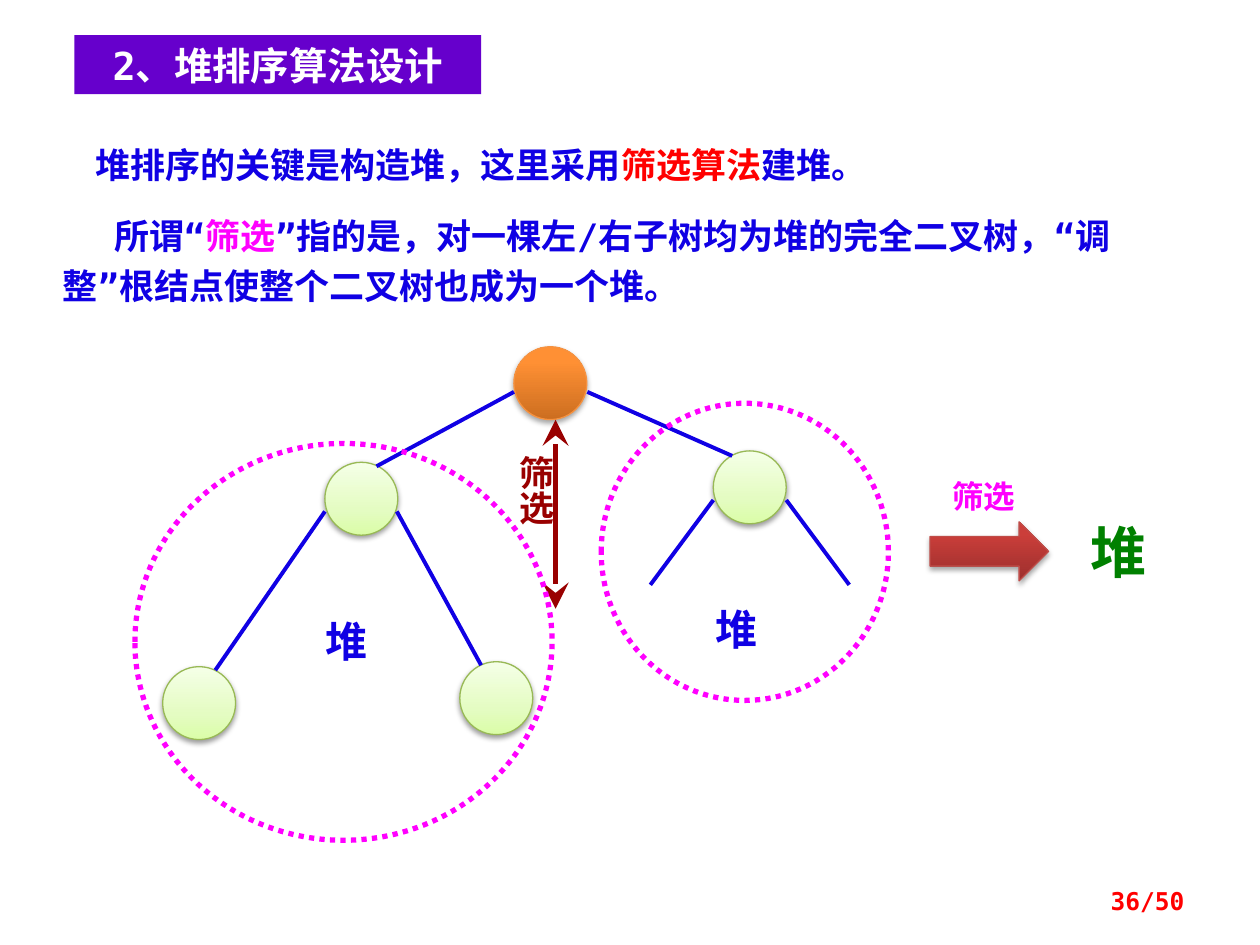
from dataclasses import dataclass

from lxml.etree import SubElement
from pptx import Presentation
from pptx.dml.color import RGBColor
from pptx.enum.dml import MSO_LINE
from pptx.enum.shapes import MSO_CONNECTOR, MSO_SHAPE
from pptx.enum.text import MSO_ANCHOR, MSO_AUTO_SIZE, PP_ALIGN
from pptx.oxml.ns import qn
from pptx.util import Cm, Pt


@dataclass(frozen=True)
class Theme:
    """Colours, fonts and type sizes of the slide."""
    blue: str = "1000E4"
    red: str = "FF0000"
    pink: str = "FF00FF"
    maroon: str = "990000"
    green: str = "008000"
    purple: str = "6600CC"
    white: str = "FFFFFF"
    root: tuple = ((0, "CC6E20"), (80, "FF9034"), (100, "FF9136"))
    leaf: tuple = ((0, "DAFDA7"), (35, "E4FCC2"), (100, "F5FFE7"))
    arrow: tuple = ((0, "9C2F2D"), (80, "CB3E3A"), (100, "CE3B37"))
    rim: str = "F69240"
    edge: str = "98B955"
    side: str = "BF4C48"
    mono: str = "DejaVu Sans Mono"
    hans: str = "Noto Sans CJK SC"
    kanji: str = "Noto Sans CJK JP"
    title: int = 22
    body: int = 20
    heap: int = 24
    goal: int = 32
    note: int = 18
    page: int = 14


T = Theme()
NODE = 1.47


def rgb(code):
    """Turn a hex code into a colour."""
    return RGBColor.from_string(code)


def write(frame, *paras, size=T.body, color=T.blue, font=T.mono,
          align=PP_ALIGN.LEFT, anchor=MSO_ANCHOR.TOP, wrap=True,
          space=0, line=None, indents=()):
    """Fill a frame with paragraphs, each a text or a list of (text, color, font)."""
    frame.word_wrap = wrap
    frame.auto_size = MSO_AUTO_SIZE.NONE
    frame.vertical_anchor = anchor
    for i, para in enumerate(paras):
        p = frame.paragraphs[0] if i == 0 else frame.add_paragraph()
        p.alignment = align
        p.space_before = Pt(space if i else 0)
        if line:
            p.line_spacing = line
        if indents:
            p._p.get_or_add_pPr().set("indent", str(Cm(indents[i])))
        for text, tone, face in [(para, color, font)] if isinstance(para, str) else para:
            run = p.add_run()
            run.text = text
            run.font.size, run.font.bold, run.font.name = Pt(size), True, face
            run.font.color.rgb = rgb(tone)
            SubElement(run._r.get_or_add_rPr(), qn("a:ea"), typeface=face)


def label(slide, box, text, **style):
    """Add a text box and return its frame."""
    frame = slide.shapes.add_textbox(*map(Cm, box)).text_frame
    write(frame, *([text] if isinstance(text, str) else text), **style)
    return frame


def glossy(slide, kind, box, stops, rim, alpha, dist):
    """Add a shape with an upward gradient and a soft shadow below."""
    shape = slide.shapes.add_shape(kind, *map(Cm, box))
    shape.line.color.rgb = rgb(rim)
    shape.line.width = Pt(0.75)
    shape.fill.gradient()
    shape.fill.gradient_angle = 90
    props = shape._element.spPr
    ramp = props.find(qn("a:gradFill")).find(qn("a:gsLst"))
    for stop in list(ramp):
        ramp.remove(stop)
    for pos, code in stops:
        stop = SubElement(ramp, qn("a:gs"), pos=str(pos * 1000))
        SubElement(stop, qn("a:srgbClr"), val=code)
    shape.shadow.inherit = False
    shade = SubElement(props.find(qn("a:effectLst")), qn("a:outerShdw"),
                       blurRad=str(Pt(3.1)), dist=str(Pt(dist)),
                       dir="5400000", rotWithShape="0")
    tone = SubElement(shade, qn("a:srgbClr"), val="000000")
    SubElement(tone, qn("a:alpha"), val=str(alpha * 1000))


def node(slide, x, y, stops=T.leaf, rim=T.edge, alpha=38, dist=1.6):
    """Add a round tree node."""
    glossy(slide, MSO_SHAPE.OVAL, (x, y, NODE, NODE), stops, rim, alpha, dist)


def link(slide, ends, color=T.blue, width=2.25, heads=False):
    """Add a straight line, with arrowheads at both ends if asked."""
    wire = slide.shapes.add_connector(MSO_CONNECTOR.STRAIGHT, *map(Cm, ends))
    wire.line.color.rgb = rgb(color)
    wire.line.width = Pt(width)
    if heads:
        for tag in ("a:headEnd", "a:tailEnd"):
            SubElement(wire.line._get_or_add_ln(), qn(tag),
                       type="stealth", w="lg", len="lg")
    SubElement(wire._element.spPr, qn("a:effectLst"))


def ring(slide, box):
    """Add a dotted outline around a subtree."""
    oval = slide.shapes.add_shape(MSO_SHAPE.OVAL, *map(Cm, box))
    oval.shadow.inherit = False
    oval.fill.background()
    oval.line.color.rgb = rgb(T.pink)
    oval.line.width = Pt(3)
    oval.line.dash_style = MSO_LINE.ROUND_DOT


def head(slide):
    """Place and format the title."""
    title = slide.shapes.title
    title.left, title.top, title.width, title.height = map(Cm, (1.5, 0.71, 8.2, 1.19))
    title.fill.solid()
    title.fill.fore_color.rgb = rgb(T.purple)
    write(title.text_frame, "2、堆排序算法设计", size=T.title, color=T.white,
          align=PP_ALIGN.CENTER, anchor=MSO_ANCHOR.MIDDLE)


def intro(slide):
    """Write the two paragraphs on sifting."""
    first = [("堆排序的关键是构造堆，这里采用", T.blue, T.mono),
             ("筛选算法", T.red, T.mono), ("建堆。", T.blue, T.mono)]
    second = [("所谓“", T.blue, T.mono), ("筛选", T.pink, T.kanji),
              ("”指的是，对一棵左/右子树均为堆的完全二叉树，“调整”根结点使整个二叉树也成为一个堆。",
               T.blue, T.mono)]
    label(slide, (1.02, 2.59, 23.01, 3.68), (first, second),
          space=12, line=1.2, indents=(0.65, 1.03))


def tree(slide):
    """Draw the binary tree with its two heaps."""
    node(slide, 10.36, 6.99, T.root, T.rim, 35, 1.8)
    for x, y in ((6.55, 9.32), (14.38, 9.09), (3.28, 13.44), (9.27, 13.34)):
        node(slide, x, y)
    for ends in ((10.36, 7.9, 7.59, 9.4), (11.84, 7.9, 14.76, 9.19),
                 (8, 10.31, 9.7, 13.41), (6.55, 10.31, 4.34, 13.51),
                 (14.38, 10.08, 13.11, 11.79), (15.85, 10.08, 17.12, 11.79)):
        link(slide, ends)
    for x, y in ((6.32, 12.29), (14.17, 12.04)):
        label(slide, (x, y, 1.37, 1.27), "堆", size=T.heap, wrap=False)
    link(slide, (11.2, 8.46, 11.2, 12.27), T.maroon, 3, True)
    sift = label(slide, (9.98, 8.94, 1.37, 2.24), "筛选", color=T.maroon)
    sift._txBody.bodyPr.set("vert", "eaVert")
    for box in ((2.72, 8.94, 8.41, 8), (12.12, 8.13, 5.79, 5.99)):
        ring(slide, box)


def result(slide):
    """Draw the arrow to the finished heap."""
    glossy(slide, MSO_SHAPE.RIGHT_ARROW, (18.75, 10.52, 2.39, 1.19),
           T.arrow, T.side, 35, 1.8)
    label(slide, (21.74, 10.31, 2.39, 1.6), "堆", size=T.goal, color=T.green)
    label(slide, (18.64, 9.5, 2.39, 1.02), "筛选", size=T.note, color=T.pink,
          font=T.hans, align=PP_ALIGN.CENTER)


def main():
    """Build and save the slide."""
    deck = Presentation()
    deck.slide_width, deck.slide_height = Cm(25.4), Cm(19.05)
    slide = deck.slides.add_slide(deck.slide_layouts[5])
    head(slide)
    intro(slide)
    tree(slide)
    result(slide)
    label(slide, (18.21, 17.65, 5.92, 1.02), "36/50", size=T.page, color=T.red,
          align=PP_ALIGN.RIGHT, anchor=MSO_ANCHOR.MIDDLE)
    deck.save("out.pptx")


if __name__ == "__main__":
    main()
